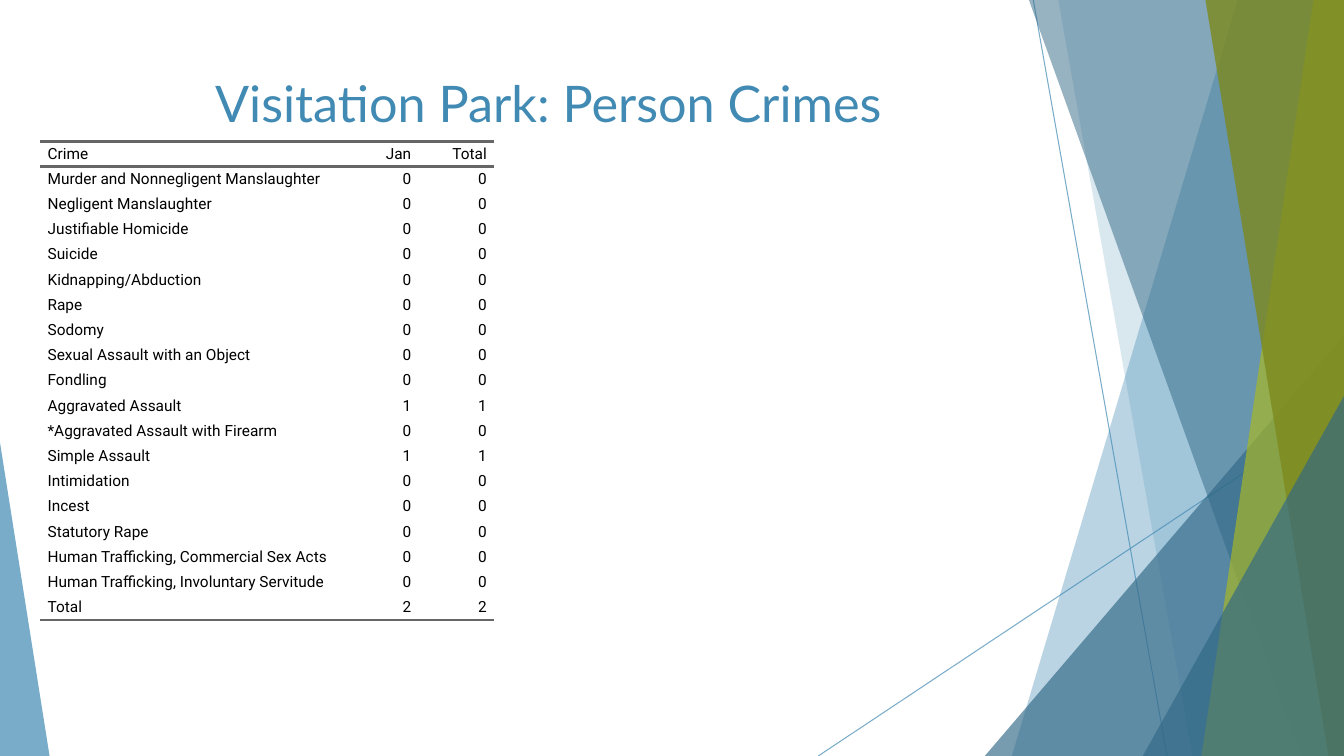
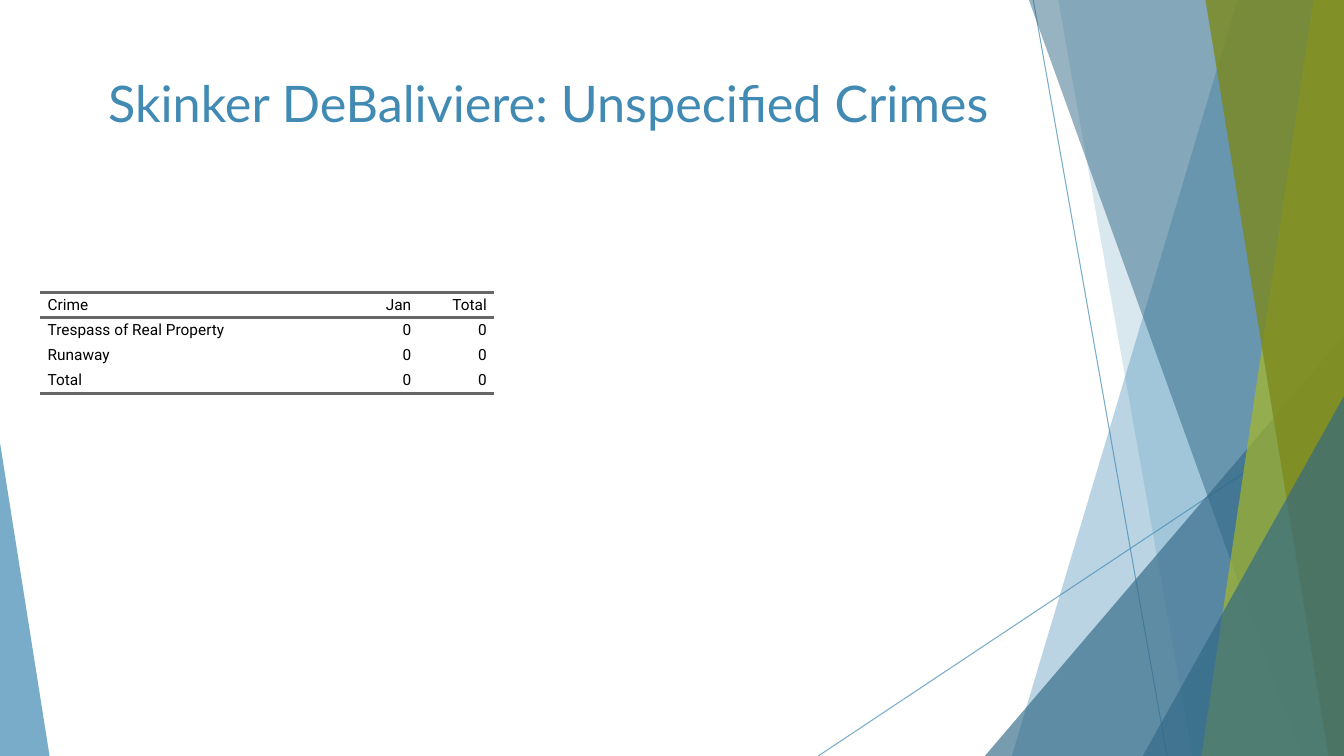
"""Build two neighbourhood crime slides with a shared faceted backdrop."""
from dataclasses import dataclass
from typing import Any

import lxml.etree
import pptx
import pptx.dml.color
import pptx.enum.shapes
import pptx.enum.text
import pptx.oxml.ns
import pptx.shapes.base
import pptx.slide
import pptx.table
import pptx.text.text
import pptx.util

Cm = pptx.util.Cm
Pt = pptx.util.Pt
qn = pptx.oxml.ns.qn
PP_ALIGN = pptx.enum.text.PP_ALIGN
MSO_ANCHOR = pptx.enum.text.MSO_ANCHOR


@dataclass(frozen=True)
class Theme:
    blue: str = "418AB3"
    deep_blue: str = "316886"
    lime: str = "A6B727"
    olive: str = "7D891D"
    rule: str = "666666"
    ink: str = "000000"
    title_font: str = "Lato"
    title_size: int = 36
    table_font: str = "Roboto"
    table_size: int = 11
    facet_line_width: float = 0.75
    rule_width: int = 2


@dataclass(frozen=True)
class Band:
    """A strip from a slanted left edge to the right side of the slide."""
    top_x: float
    bottom_x: float
    color: str
    opacity: int


@dataclass(frozen=True)
class Wedge:
    """A right triangle standing on the bottom of the slide."""
    left: float
    right: float
    top: float
    peak: float
    color: str
    opacity: int


@dataclass(frozen=True)
class Ray:
    start_x: float
    start_y: float
    end_x: float
    opacity: int = 70


@dataclass(frozen=True)
class CrimeReport:
    title: str
    table_top: float
    counts: tuple[tuple[str, int], ...]


THEME = Theme()
SLIDE_WIDTH = 33.87
SLIDE_HEIGHT = 19.05
NO_STYLE_NO_GRID = "{2D5ABB26-0587-4C30-8999-92F81FD0307C}"
TABLE_LEFT = Cm(1.02)
TABLE_WIDTH = Cm(11.43)
COLUMN_SHARES = (4, 1, 1)
ROW_HEIGHT = Cm(1.27) // 2
CELL_FORMAT = {
    "margin_left": Cm(0.18),
    "margin_right": Cm(0.18),
    "margin_top": 0,
    "margin_bottom": 0,
    "vertical_anchor": MSO_ANCHOR.MIDDLE,
}
TABLE_FONT = {"name": THEME.table_font, "size": Pt(THEME.table_size)}
TITLE_FONT = {"name": THEME.title_font, "size": Pt(THEME.title_size)}
TITLE_FRAME = {"word_wrap": True, "vertical_anchor": MSO_ANCHOR.TOP}

RAYS = (Ray(26.04, 0, 29.41), Ray(SLIDE_WIDTH, 10.24, 20.62))
FACETS: tuple[Band | Wedge, ...] = (
    Band(31.19, 25.5, THEME.blue, 36),
    Band(26.67, 30.05, THEME.blue, 20),
    Wedge(24.82, SLIDE_WIDTH, 8.46, 1, THEME.deep_blue, 66),
    Band(25.93, 32.79, THEME.deep_blue, 50),
    Band(33.1, 30.28, THEME.lime, 70),
    Band(30.38, 33.48, THEME.olive, 80),
    Wedge(28.8, SLIDE_WIDTH, 9.98, 1, THEME.deep_blue, 66),
    Wedge(0, 1.25, 11.15, 0, THEME.blue, 70),
)

REPORTS = (
    CrimeReport("Visitation Park: Person Crimes", 3.56, (
        ("Murder and Nonnegligent Manslaughter", 0),
        ("Negligent Manslaughter", 0),
        ("Justifiable Homicide", 0),
        ("Suicide", 0),
        ("Kidnapping/Abduction", 0),
        ("Rape", 0),
        ("Sodomy", 0),
        ("Sexual Assault with an Object", 0),
        ("Fondling", 0),
        ("Aggravated Assault", 1),
        ("*Aggravated Assault with Firearm", 0),
        ("Simple Assault", 1),
        ("Intimidation", 0),
        ("Incest", 0),
        ("Statutory Rape", 0),
        ("Human Trafficking, Commercial Sex Acts", 0),
        ("Human Trafficking, Involuntary Servitude", 0),
        ("Total", 2),
    )),
    CrimeReport("Skinker DeBaliviere: Unspecified Crimes", 7.37, (
        ("Trespass of Real Property", 0),
        ("Runaway", 0),
        ("Total", 0),
    )),
)


def rgb(color: str) -> pptx.dml.color.RGBColor:
    return pptx.dml.color.RGBColor.from_string(color)


def apply_format(target: Any, values: dict[str, Any]) -> None:
    for name, value in values.items():
        setattr(target, name, value)


def set_opacity(shape: pptx.shapes.base.BaseShape, percent: int) -> None:
    for color in shape._element.iter(qn("a:srgbClr")):
        lxml.etree.SubElement(color, qn("a:alpha"), val=str(percent * 1000))


def draw_ray(slide: pptx.slide.Slide, ray: Ray) -> None:
    connector = slide.shapes.add_connector(
        pptx.enum.shapes.MSO_CONNECTOR.STRAIGHT,
        Cm(ray.start_x), Cm(ray.start_y), Cm(ray.end_x), Cm(SLIDE_HEIGHT))
    connector.line.color.rgb = rgb(THEME.blue)
    connector.line.width = Pt(THEME.facet_line_width)
    lxml.etree.SubElement(connector._element.spPr, qn("a:effectLst"))
    set_opacity(connector, ray.opacity)


def draw_facet(slide: pptx.slide.Slide, facet: Band | Wedge) -> None:
    if isinstance(facet, Band):
        builder = slide.shapes.build_freeform(Cm(facet.top_x), 0)
        builder.add_line_segments([
            (Cm(SLIDE_WIDTH), 0),
            (Cm(SLIDE_WIDTH), Cm(SLIDE_HEIGHT)),
            (Cm(facet.bottom_x), Cm(SLIDE_HEIGHT)),
        ])
        shape = builder.convert_to_shape()
    else:
        shape = slide.shapes.add_shape(
            pptx.enum.shapes.MSO_SHAPE.ISOSCELES_TRIANGLE,
            Cm(facet.left), Cm(facet.top),
            Cm(facet.right - facet.left), Cm(SLIDE_HEIGHT - facet.top))
        shape.adjustments[0] = facet.peak
    shape.shadow.inherit = False
    shape.fill.solid()
    shape.fill.fore_color.rgb = rgb(facet.color)
    shape.line.fill.background()
    set_opacity(shape, facet.opacity)


def write_text(paragraph: pptx.text.text._Paragraph, text: str, color: str,
               font: dict[str, Any], alignment: PP_ALIGN) -> None:
    paragraph.alignment = alignment
    run = paragraph.add_run()
    run.text = text
    apply_format(run.font, font)
    run.font.color.rgb = rgb(color)


def add_rule(cell: pptx.table._Cell, edge: str) -> None:
    line = lxml.etree.SubElement(
        cell._tc.get_or_add_tcPr(), qn(f"a:ln{edge}"), w=str(Pt(THEME.rule_width)))
    fill = lxml.etree.SubElement(line, qn("a:solidFill"))
    lxml.etree.SubElement(fill, qn("a:srgbClr"), val=THEME.rule)


def draw_table(slide: pptx.slide.Slide, report: CrimeReport) -> None:
    rows = [("Crime", "Jan", "Total")]
    rows += [(crime, str(count), str(count)) for crime, count in report.counts]
    table = slide.shapes.add_table(
        len(rows), len(COLUMN_SHARES), TABLE_LEFT, Cm(report.table_top),
        TABLE_WIDTH, ROW_HEIGHT * len(rows)).table
    table._tbl.tblPr.find(qn("a:tableStyleId")).text = NO_STYLE_NO_GRID
    apply_format(table, {"first_row": False, "horz_banding": False})
    for column, share in zip(table.columns, COLUMN_SHARES):
        column.width = TABLE_WIDTH * share // sum(COLUMN_SHARES)
    edges = {0: "TB", len(rows) - 1: "B"}
    for row_index, values in enumerate(rows):
        table.rows[row_index].height = ROW_HEIGHT
        for column_index, value in enumerate(values):
            cell = table.cell(row_index, column_index)
            apply_format(cell, CELL_FORMAT)
            for edge in edges.get(row_index, ""):
                add_rule(cell, edge)
            cell.fill.background()
            alignment = PP_ALIGN.RIGHT if column_index else PP_ALIGN.LEFT
            write_text(cell.text_frame.paragraphs[0], value, THEME.ink,
                       TABLE_FONT, alignment)


def draw_title(slide: pptx.slide.Slide, title: str) -> None:
    shape = slide.shapes.add_textbox(Cm(1.88), Cm(1.7), Cm(23.88), Cm(3.66))
    apply_format(shape.text_frame, TITLE_FRAME)
    write_text(shape.text_frame.paragraphs[0], title, THEME.blue,
               TITLE_FONT, PP_ALIGN.CENTER)


def draw_backdrop(slide: pptx.slide.Slide) -> None:
    for ray in RAYS:
        draw_ray(slide, ray)
    for facet in FACETS:
        draw_facet(slide, facet)


def main() -> None:
    presentation = pptx.Presentation()
    apply_format(presentation, {
        "slide_width": Cm(SLIDE_WIDTH), "slide_height": Cm(SLIDE_HEIGHT)})
    for report in REPORTS:
        slide = presentation.slides.add_slide(presentation.slide_layouts[6])
        draw_backdrop(slide)
        draw_table(slide, report)
        draw_title(slide, report.title)
    presentation.save("out.pptx")


if __name__ == "__main__":
    main()
